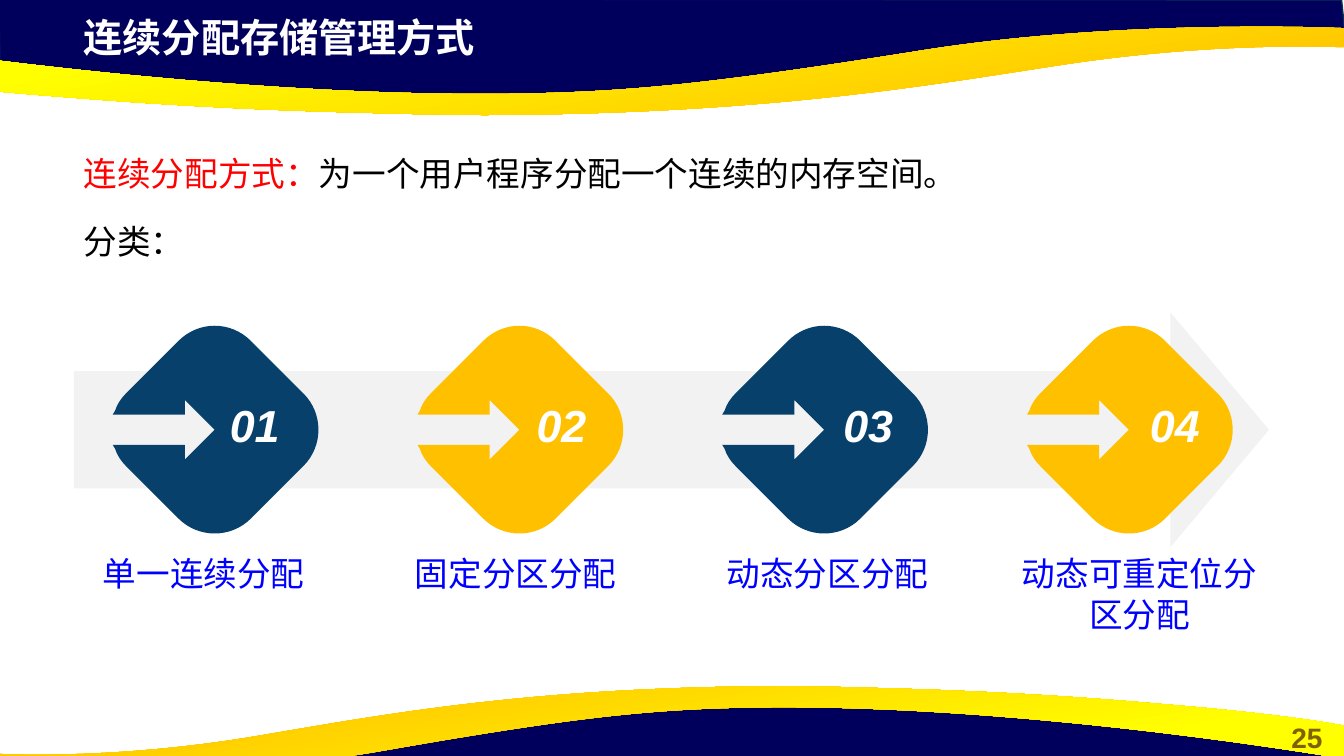
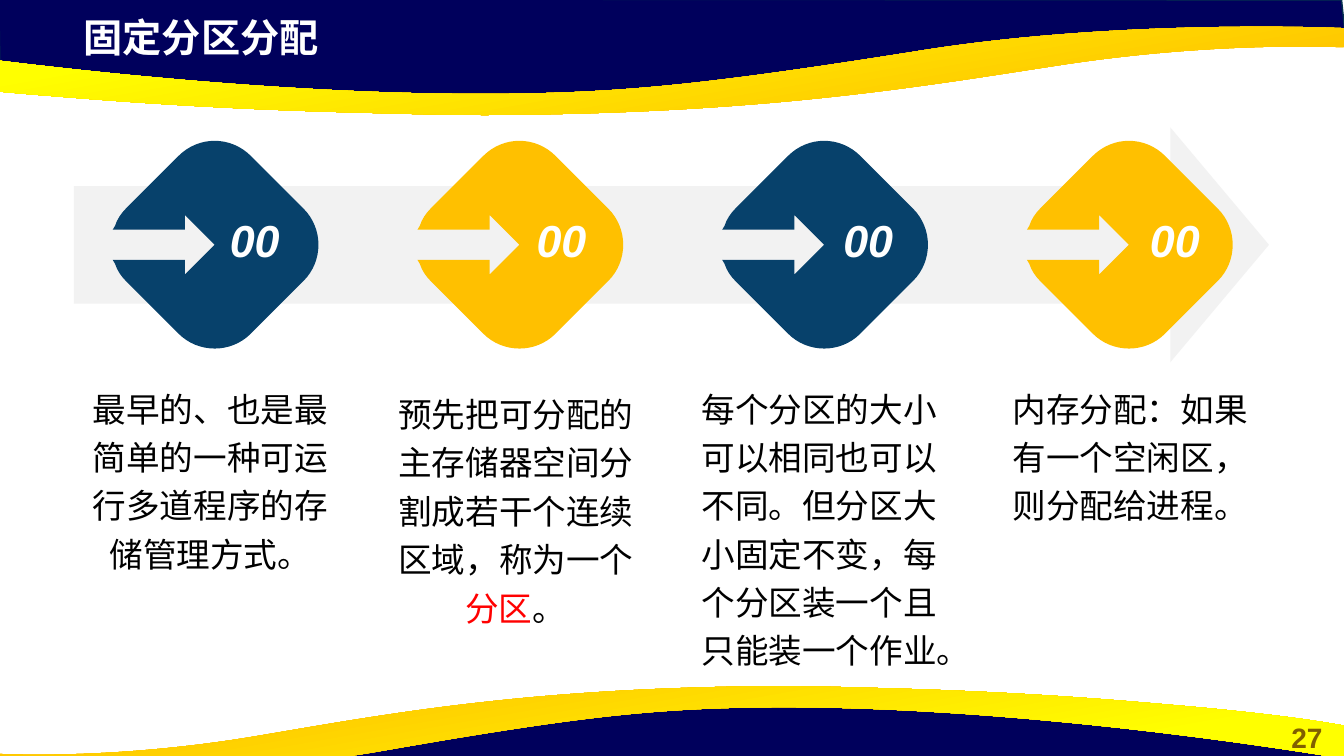
from math import sqrt

from lxml.etree import SubElement as Sub
from pptx import Presentation
from pptx.dml.color import RGBColor
from pptx.enum.shapes import MSO_SHAPE as Shape
from pptx.enum.text import MSO_ANCHOR as Anchor, PP_ALIGN as Align
from pptx.oxml.ns import qn
from pptx.util import Cm, Pt

NAVY = RGBColor(0x00, 0x00, 0x5C)
EDGE = RGBColor(0x05, 0x30, 0x4F)
GOLD = RGBColor(0xFF, 0xC0, 0x00)
YELLOW = RGBColor(0xFF, 0xFF, 0x00)
TEAL = RGBColor(0x07, 0x41, 0x6B)
PALE = RGBColor(0xF2, 0xF2, 0xF2)
BROWN = RGBColor(0x80, 0x60, 0x00)
WHITE = RGBColor(0xFF, 0xFF, 0xFF)
BLACK = RGBColor(0x00, 0x00, 0x00)
RED = RGBColor(0xFF, 0x00, 0x00)
BLUE = RGBColor(0x00, 0x00, 0xFF)

# Outlines in cm: a pair is a corner, six numbers are a Bézier curve
WAVE = [(-0.03, -0.03), (0, 1.78), (7.44, 2.59), (14.2, 2.54), (20.19, 2.24),
        (25.81, 1.27), (31.45, 0.84), (33.91, 0.97), (33.81, 0), (-0.03, -0.03)]
RIBBON = [(12.27, 2.9), (11.25, 2.9, 10.19, 2.87, 9.04, 2.84),
          (5.23, 2.74, 2.79, 2.54, 0.91, 2.39),
          (-2.24, 2.13, -3.3, 1.91, -3.38, 1.91),
          (-3.38, 1.07, -3.38, 1.07, -3.38, 1.07),
          (-3.38, 1.07, 5.54, 2.49, 13.13, 2.36),
          (15.9, 2.31, 17.98, 2.11, 23.24, 1.27),
          (28.35, 0.46, 33.86, 0.71, 33.86, 0.71),
          (33.86, 0.81), (33.86, 1.19), (33.78, 1.19),
          (33.15, 1.17, 30.35, 1.09, 26.8, 1.63),
          (23.32, 2.16, 19.35, 2.87, 12.27, 2.9)]
# Diamond with an arrow cut out, around its centre
GEM = [(0, -2.62), (0.33, -2.62, 0.66, -2.49, 0.91, -2.24), (2.24, -0.91),
       (2.74, -0.41, 2.74, 0.41, 2.24, 0.91), (0.91, 2.24),
       (0.41, 2.74, -0.41, 2.74, -0.91, 2.24), (-2.24, 0.91),
       (-2.36, 0.79, -2.46, 0.64, -2.51, 0.48), (-2.57, 0.38), (-0.75, 0.38),
       (-0.75, 0.75), (0, 0), (-0.75, -0.75), (-0.75, -0.38), (-2.57, -0.38),
       (-2.51, -0.48), (-2.46, -0.64, -2.36, -0.79, -2.24, -0.91),
       (-0.91, -2.24), (-0.66, -2.49, -0.33, -2.62, 0, -2.62)]


def remap(path, rule):
    """Apply a rule for (x, y) to every point of a path."""
    return [tuple(v for k in range(0, len(seg), 2) for v in rule(seg[k], seg[k + 1]))
            for seg in path]


class Deck:
    font = "Arial"

    def __init__(self):
        self.prs = Presentation()
        self.prs.slide_width, self.prs.slide_height = Cm(33.87), Cm(19.05)
        self.slide = None

    def page(self, title, number):
        self.slide = self.prs.slides.add_slide(self.prs.slide_layouts[6])
        # Head bands
        self.outline(WAVE, (-0.03, -0.03, 33.94, 2.62), NAVY, EDGE)
        self.blend(RIBBON, (-3.38, 0.66, 37.24, 2.24), 100)
        # Foot bands: the same outlines, turned half round
        low = remap(WAVE, lambda x, y: (x - 0.05, y + 17.58))
        self.outline(low, (-0.08, 17.55, 33.94, 2.62), NAVY, EDGE, 180)
        low = remap(RIBBON, lambda x, y: (0.91 * (33.83 - x), 20.19 - y))
        self.blend(low, (-0.03, 17.29, 33.89, 2.24), 280)
        # Page number and title
        self.text(number, 32.01, 18.02, 1.85, 1.12, 20, BROWN, Align.CENTER, bold=True)
        self.text(title, 1.86, 0.21, 19.5, 1.45, 28, WHITE, bold=True)

    def outline(self, path, box, fill=None, line=None, angle=0):
        """Outline with true curves; box is left, top, width, height."""
        x, y, w, h = box
        form = self.slide.shapes.build_freeform(Cm(x), Cm(y))
        form.add_line_segments([(Cm(x + w), Cm(y + h))])
        shape = form.convert_to_shape()
        geom = next(shape.element.iter(qn("a:path")))
        for node in list(geom):
            geom.remove(node)
        for n, seg in enumerate(path):
            kind = "moveTo" if n == 0 else "lnTo" if len(seg) == 2 else "cubicBezTo"
            node = Sub(geom, qn("a:" + kind))
            for k in range(0, len(seg), 2):
                Sub(node, qn("a:pt"), x=str(Cm(seg[k] - x)), y=str(Cm(seg[k + 1] - y)))
        Sub(geom, qn("a:close"))
        shape.rotation = angle
        return self.paint(shape, fill, line)

    def paint(self, shape, fill=None, line=None):
        shape.shadow.inherit = False
        if fill is not None:
            shape.fill.solid()
            shape.fill.fore_color.rgb = fill
        if line is None:
            shape.line.fill.background()
        else:
            shape.line.color.rgb = line
            shape.line.width = Pt(1)
        return shape

    def blend(self, path, box, angle):
        fill = self.outline(path, box).fill
        fill.gradient()
        fill.gradient_angle = angle
        for stop, place, color in zip(fill.gradient_stops, (0.11, 0.78), (GOLD, YELLOW)):
            stop.position = place
            stop.color.rgb = color

    def text(self, words, x, y, w, h, size, color, align=Align.LEFT,
             bold=False, italic=False, space=None, anchor=Anchor.TOP):
        """Words are a string, or a list of (string, colour) parts."""
        frame = self.slide.shapes.add_textbox(Cm(x), Cm(y), Cm(w), Cm(h)).text_frame
        frame.word_wrap = True
        frame.vertical_anchor = anchor
        para = frame.paragraphs[0]
        para.alignment = align
        if space:
            para.line_spacing = space
        font = para.font
        font.name, font.size = self.font, Pt(size)
        font.bold, font.italic = bold, italic
        if isinstance(words, str):
            para.add_run().text = words
            font.color.rgb = color
            return
        for part, tint in words:
            run = para.add_run()
            run.text = part
            run.font.color.rgb = tint

    def flow(self, mid, marks):
        """Wide arrow with a numbered diamond for each mark."""
        arrow = self.slide.shapes.add_shape(
            Shape.RIGHT_ARROW, Cm(1.86), Cm(mid - 2.96), Cm(30.12), Cm(5.92))
        arrow.adjustments[0], arrow.adjustments[1] = 0.5, 0.42
        self.paint(arrow, PALE)
        for i in range(len(marks)):
            left = 5.41 + 7.68 * i
            gem = remap(GEM, lambda x, y: (left + (x + y) / sqrt(2),
                                           mid + (y - x) / sqrt(2)))
            box = (left - 2.23, mid - 2.23, 4.46, 4.46)
            self.outline(gem, box, (TEAL, GOLD)[i % 2], angle=45)
        for i, mark in enumerate(marks):
            self.text(mark, 5.44 + 7.73 * i, mid - 1.08, 1.96, 1.88, 32, WHITE,
                      Align.CENTER, bold=True, italic=True, anchor=Anchor.MIDDLE)


def main():
    deck = Deck()

    # Kinds of contiguous allocation
    deck.page("连续分配存储管理方式", "25")
    intro = [[("连续分配方式：", RED), ("为一个用户程序分配一个连续的内存空间。", BLACK)],
             "分类："]
    for i, words in enumerate(intro):
        deck.text(words, 1.86, 3.4 + 1.72 * i, 29.41, 1.73, 24, BLACK, space=1.32)
    deck.flow(10.83, ["01", "02", "03", "04"])
    kinds = ["单一连续分配", "固定分区分配", "动态分区分配", "动态可重定位分区分配"]
    for i, kind in enumerate(kinds):
        deck.text(kind, 1.86 + 7.86 * i, 13.82, 6.55, 1.09, 24, BLUE, Align.CENTER)

    # Fixed partitions
    deck.page("固定分区分配", "27")
    deck.flow(6.17, ["00"] * 4)
    notes = [
        (1.78, 9.46, 7.04, "最早的、也是最简单的一种可运行多道程序的存储管理方式。"),
        (9.48, 9.6, 7.04, [("预先把可分配的主存储器空间分割成若干个连续区域，称为一个", BLACK),
                           ("分区", RED), ("。", BLACK)]),
        (17.37, 9.46, 6.55,
         "每个分区的大小可以相同也可以不同。但分区大小固定不变，每个分区装一个且只能装一个作业。"),
        (24.96, 9.46, 7.04, "内存分配：如果有一个空闲区，则分配给进程。"),
    ]
    for x, y, w, words in notes:
        deck.text(words, x, y, w, 4.06, 24, BLACK, Align.CENTER, space=1.2)

    deck.prs.save("out.pptx")


if __name__ == "__main__":
    main()
